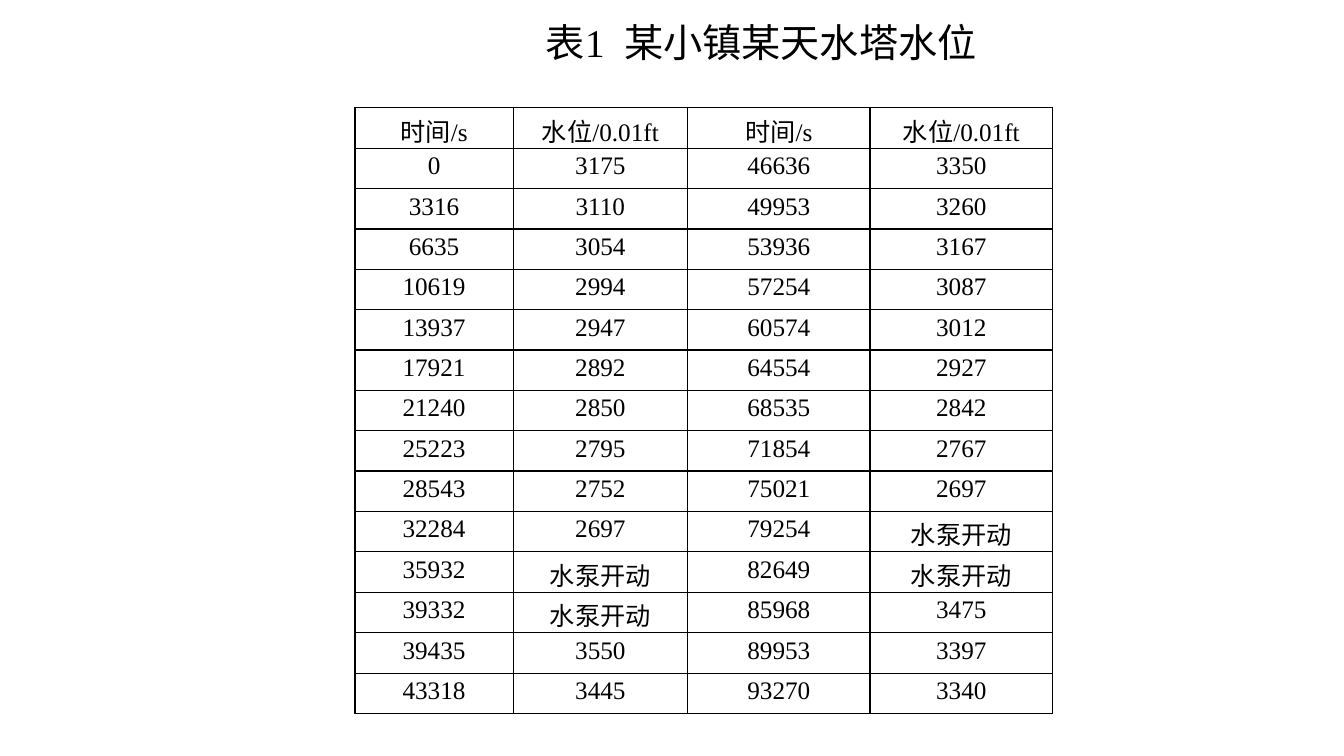
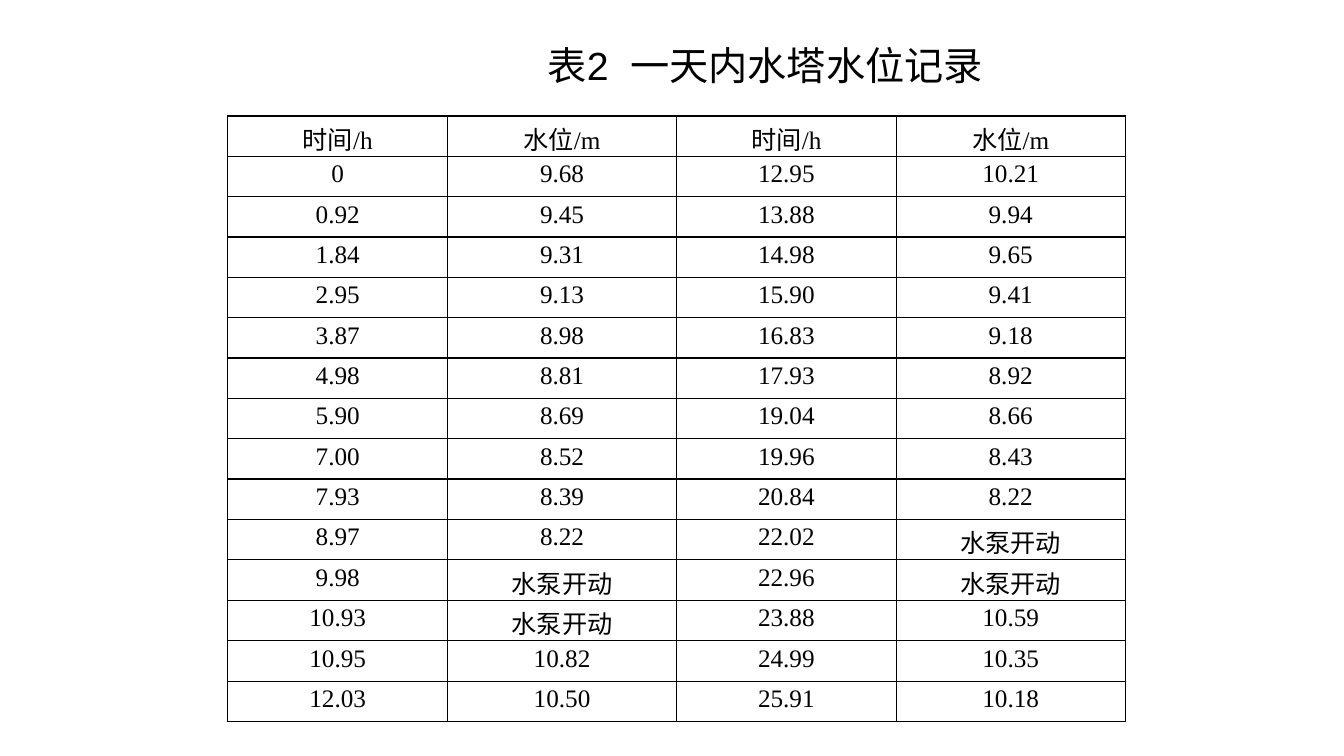
from dataclasses import dataclass

from lxml import etree
from pptx import Presentation
from pptx.dml.color import RGBColor
from pptx.enum.text import MSO_ANCHOR, MSO_AUTO_SIZE, PP_ALIGN
from pptx.oxml.ns import qn
from pptx.util import Inches, Pt

CENTER = PP_ALIGN.CENTER
MIDDLE = MSO_ANCHOR.MIDDLE
NO_AUTOFIT = MSO_AUTO_SIZE.NONE


@dataclass(frozen=True)
class Theme:
    ink: str = "000000"
    serif: str = "Times New Roman"
    sans: str = "Arial"
    title_size: int = 28
    cell_size: int = 18
    border_width: int = 1


theme = Theme()


def write_text(text_frame, text, *, size, font=theme.serif, color=theme.ink, align=CENTER):
    """Fill a text frame with one formatted paragraph."""
    paragraph = text_frame.paragraphs[0]
    paragraph.alignment = align
    run = paragraph.add_run()
    run.text = text
    run.font.size = Pt(size)
    run.font.name = font
    run.font.bold = False
    run.font.color.rgb = RGBColor.from_string(color)


def set_borders(cell):
    """Draw the four borders of a table cell."""
    properties = cell._tc.get_or_add_tcPr()
    for side in "LRTB":
        line = etree.SubElement(properties, qn(f"a:ln{side}"), w=str(Pt(theme.border_width)))
        fill = etree.SubElement(line, qn("a:solidFill"))
        etree.SubElement(fill, qn("a:srgbClr"), val=theme.ink)


PUMP_ON = "水泵开动"
ROW_COUNT = 15
TABLE_HEIGHT = 6
CELL_MARGIN_TOP = 0.04
TITLE_WIDTH, TITLE_HEIGHT = 4.52, 0.57

table_slides = [
    {
        "title": "表1  某小镇某天水塔水位",
        "title_font": theme.serif,
        "title_at": (5.29, 0.13),
        "table_at": (3.52, 1.07),
        "column_widths": (1.57, 1.73, 1.81, 1.81),
        "headings": ("时间/s", "水位/0.01ft"),
        "times": (
            "0 3316 6635 10619 13937 17921 21240 25223 28543 32284 35932 39332 39435 43318 "
            "46636 49953 53936 57254 60574 64554 68535 71854 75021 79254 82649 85968 89953 93270"
        ),
        "levels": (
            f"3175 3110 3054 2994 2947 2892 2850 2795 2752 2697 {PUMP_ON} {PUMP_ON} 3550 3445 "
            f"3350 3260 3167 3087 3012 2927 2842 2767 2697 {PUMP_ON} {PUMP_ON} 3475 3397 3340"
        ),
    },
    {
        "title": "表2  一天内水塔水位记录",
        "title_font": theme.sans,
        "title_at": (5.33, 0.36),
        "table_at": (2.26, 1.15),
        "column_widths": (2.18, 2.27, 2.18, 2.27),
        "headings": ("时间/h", "水位/m"),
        "times": (
            "0 0.92 1.84 2.95 3.87 4.98 5.90 7.00 7.93 8.97 9.98 10.93 10.95 12.03 "
            "12.95 13.88 14.98 15.90 16.83 17.93 19.04 19.96 20.84 22.02 22.96 23.88 24.99 25.91"
        ),
        "levels": (
            f"9.68 9.45 9.31 9.13 8.98 8.81 8.69 8.52 8.39 8.22 {PUMP_ON} {PUMP_ON} 10.82 10.50 "
            f"10.21 9.94 9.65 9.41 9.18 8.92 8.66 8.43 8.22 {PUMP_ON} {PUMP_ON} 10.59 10.35 10.18"
        ),
    },
]

presentation = Presentation()
presentation.slide_width = Inches(13.33)
presentation.slide_height = Inches(7.5)
title_only = presentation.slide_layouts.get_by_name("Title Only")

for content in table_slides:
    slide = presentation.slides.add_slide(title_only)

    title = slide.shapes.title
    title.left, title.top = map(Inches, content["title_at"])
    title.width, title.height = Inches(TITLE_WIDTH), Inches(TITLE_HEIGHT)
    title.text_frame.word_wrap = True
    title.text_frame.auto_size = NO_AUTOFIT
    title.text_frame.vertical_anchor = MIDDLE
    write_text(title.text_frame, content["title"],
               size=theme.title_size, font=content["title_font"])

    left, top = content["table_at"]
    widths = content["column_widths"]
    table = slide.shapes.add_table(
        ROW_COUNT, len(widths), Inches(left), Inches(top),
        Inches(sum(widths)), Inches(TABLE_HEIGHT),
    ).table
    table.first_row = False
    table.horz_banding = False
    for column, width in zip(table.columns, widths):
        column.width = Inches(width)

    # The record runs down the left pair of columns, then down the right pair.
    records = list(zip(content["times"].split(), content["levels"].split()))
    half = ROW_COUNT - 1
    rows = [content["headings"] * 2]
    rows += [first + second for first, second in zip(records[:half], records[half:])]

    for row_index, values in enumerate(rows):
        for column_index, value in enumerate(values):
            cell = table.cell(row_index, column_index)
            cell.margin_top = Inches(CELL_MARGIN_TOP)
            cell.margin_bottom = 0
            write_text(cell.text_frame, value, size=theme.cell_size)
            set_borders(cell)
            cell.fill.background()

presentation.save("out.pptx")
